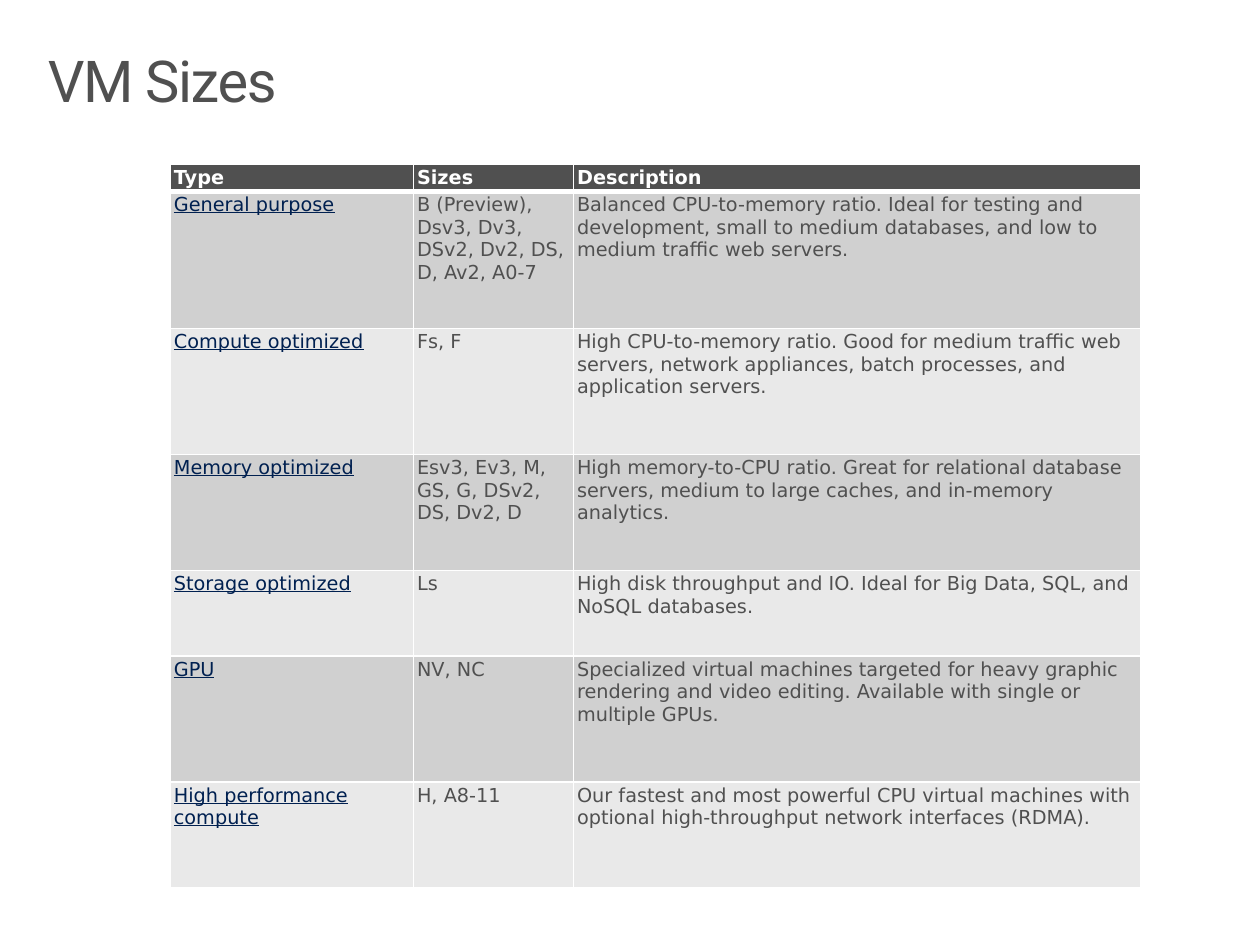
from dataclasses import dataclass
from typing import NamedTuple

from lxml.etree import SubElement
from pptx import Presentation
from pptx.dml.color import RGBColor
from pptx.enum.text import MSO_ANCHOR, MSO_AUTO_SIZE, PP_ALIGN
from pptx.oxml.ns import qn
from pptx.slide import Slide
from pptx.table import _Cell
from pptx.util import Inches, Pt


@dataclass(frozen=True)
class Theme:
    title_font: str = "Roboto"
    table_font: str = "DejaVu Sans"
    title_size: float = 33
    table_size: float = 11
    text: str = "505050"
    link: str = "002050"
    white: str = "FFFFFF"
    bands: tuple[str, str] = ("D0D0D0", "E9E9E9")


class VmType(NamedTuple):
    name: str
    sizes: str
    description: str
    height: float


THEME = Theme()
HEADINGS = ("Type", "Sizes", "Description")
HEADING_HEIGHT = 0.21
COLUMN_WIDTHS = (1.93, 1.27, 4.5)
VM_TYPES = (
    VmType("General purpose", "B (Preview), Dsv3, Dv3, DSv2, Dv2, DS, D, Av2, A0-7",
           "Balanced CPU-to-memory ratio. Ideal for testing and development, "
           "small to medium databases, and low to medium traffic web servers.", 1.09),
    VmType("Compute optimized", "Fs, F",
           "High CPU-to-memory ratio. Good for medium traffic web servers, "
           "network appliances, batch processes, and application servers.", 1),
    VmType("Memory optimized", "Esv3, Ev3, M, GS, G, DSv2, DS, Dv2, D",
           "High memory-to-CPU ratio. Great for relational database servers, "
           "medium to large caches, and in-memory analytics.", 0.92),
    VmType("Storage optimized", "Ls",
           "High disk throughput and IO. Ideal for Big Data, SQL, and NoSQL databases.", 0.68),
    VmType("GPU", "NV, NC",
           "Specialized virtual machines targeted for heavy graphic rendering "
           "and video editing. Available with single or multiple GPUs.", 1),
    VmType("High performance compute", "H, A8-11",
           "Our fastest and most powerful CPU virtual machines with optional "
           "high-throughput network interfaces (RDMA).", 0.84),
)


def set_borders(cell: _Cell, top: float = 1, bottom: float = 1) -> None:
    """Draw white cell edges; the borders must precede the fill in the XML."""
    properties = cell._tc.get_or_add_tcPr()
    for edge, width in (("L", 1), ("R", 1), ("T", top), ("B", bottom)):
        line = SubElement(properties, qn(f"a:ln{edge}"), w=str(Pt(width)))
        fill = SubElement(line, qn("a:solidFill"))
        SubElement(fill, qn("a:srgbClr"), val=THEME.white)


def fill_cell(cell: _Cell, text: str, background: str, color: str,
              bold: bool = False, underline: bool = False) -> None:
    cell.fill.solid()
    cell.fill.fore_color.rgb = RGBColor.from_string(background)
    cell.margin_left = cell.margin_right = Inches(0.03)
    cell.margin_top = cell.margin_bottom = Inches(0.02)
    cell.vertical_anchor = MSO_ANCHOR.BOTTOM if bold else MSO_ANCHOR.TOP
    cell.text_frame.text = text
    font = cell.text_frame.paragraphs[0].runs[0].font
    font.name, font.size = THEME.table_font, Pt(THEME.table_size)
    font.bold, font.underline = bold, underline
    font.color.rgb = RGBColor.from_string(color)


def add_title(slide: Slide, text: str) -> None:
    title = slide.shapes.title
    title.left, title.top = Inches(0.22), Inches(0.32)
    title.width, title.height = Inches(9.56), Inches(0.98)
    frame = title.text_frame
    frame.text = text
    frame.auto_size = MSO_AUTO_SIZE.NONE
    frame.vertical_anchor = MSO_ANCHOR.TOP
    frame.margin_left = frame.margin_right = Inches(0.16)
    frame.margin_top = frame.margin_bottom = Inches(0.1)
    paragraph = frame.paragraphs[0]
    paragraph.alignment = PP_ALIGN.LEFT
    paragraph.line_spacing = 0.9
    font = paragraph.runs[0].font
    font.name, font.size = THEME.title_font, Pt(THEME.title_size)
    font.color.rgb = RGBColor.from_string(THEME.text)
    paragraph.runs[0]._r.get_or_add_rPr().set("spc", "-80")


def add_vm_table(slide: Slide) -> None:
    heights = (HEADING_HEIGHT, *(vm.height for vm in VM_TYPES))
    table = slide.shapes.add_table(
        len(heights), len(HEADINGS), Inches(1.35), Inches(1.3),
        Inches(sum(COLUMN_WIDTHS)), Inches(sum(heights))).table
    for column, width in zip(table.columns, COLUMN_WIDTHS):
        column.width = Inches(width)
    for row, height in zip(table.rows, heights):
        row.height = Inches(height)

    for column, heading in enumerate(HEADINGS):
        cell = table.cell(0, column)
        set_borders(cell, bottom=3)
        fill_cell(cell, heading, THEME.text, THEME.white, bold=True)
    for row, vm in enumerate(VM_TYPES, start=1):
        band = THEME.bands[(row - 1) % 2]
        for column, text in enumerate((vm.name, vm.sizes, vm.description)):
            is_link = column == 0
            cell = table.cell(row, column)
            set_borders(cell, top=3 if row == 1 else 1)
            fill_cell(cell, text, band, THEME.link if is_link else THEME.text,
                      underline=is_link)


def main() -> None:
    presentation = Presentation()
    presentation.slide_width, presentation.slide_height = Inches(10), Inches(7.5)
    slide = presentation.slides.add_slide(presentation.slide_layouts[5])
    add_title(slide, "VM Sizes")
    add_vm_table(slide)
    presentation.save("out.pptx")


if __name__ == "__main__":
    main()
